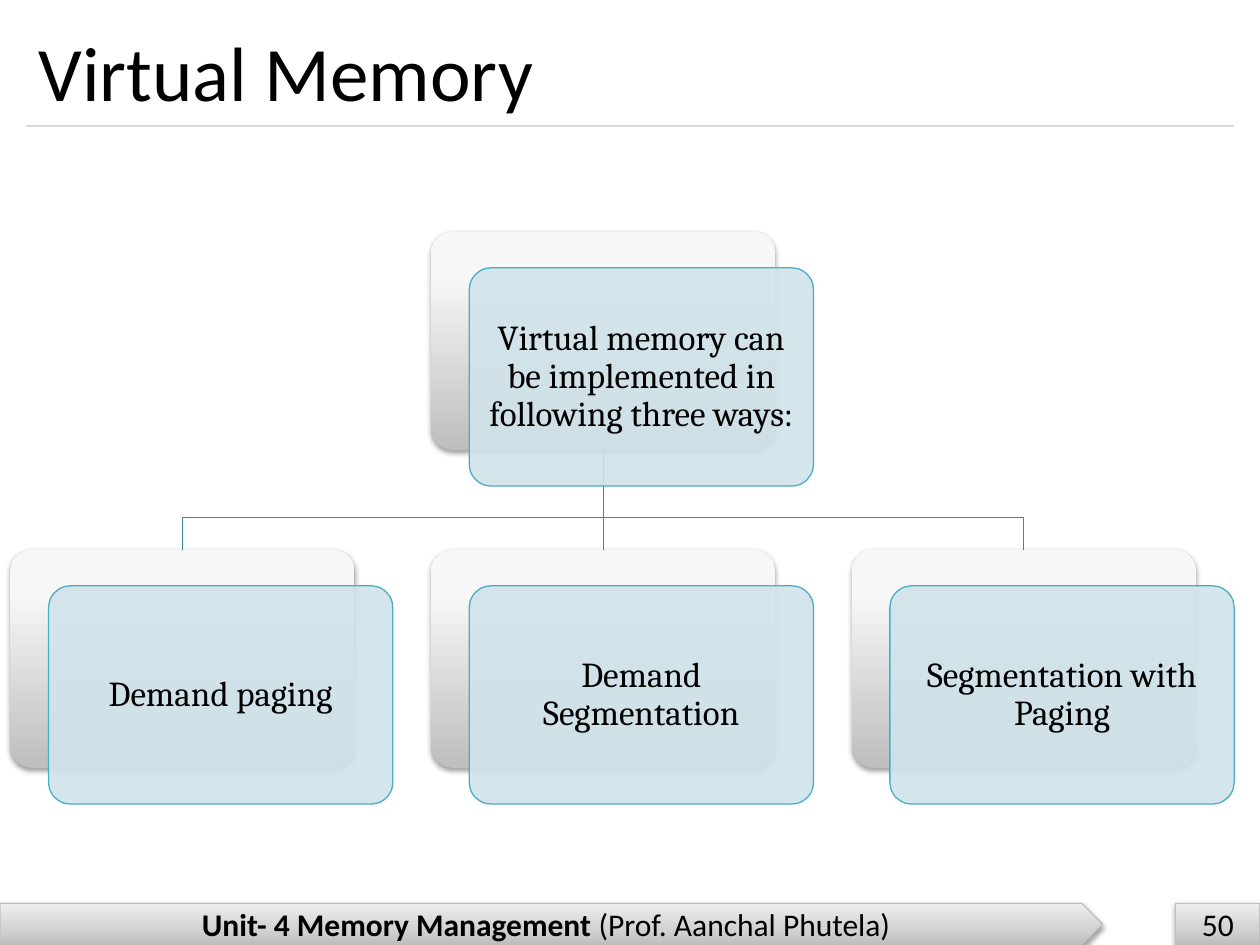
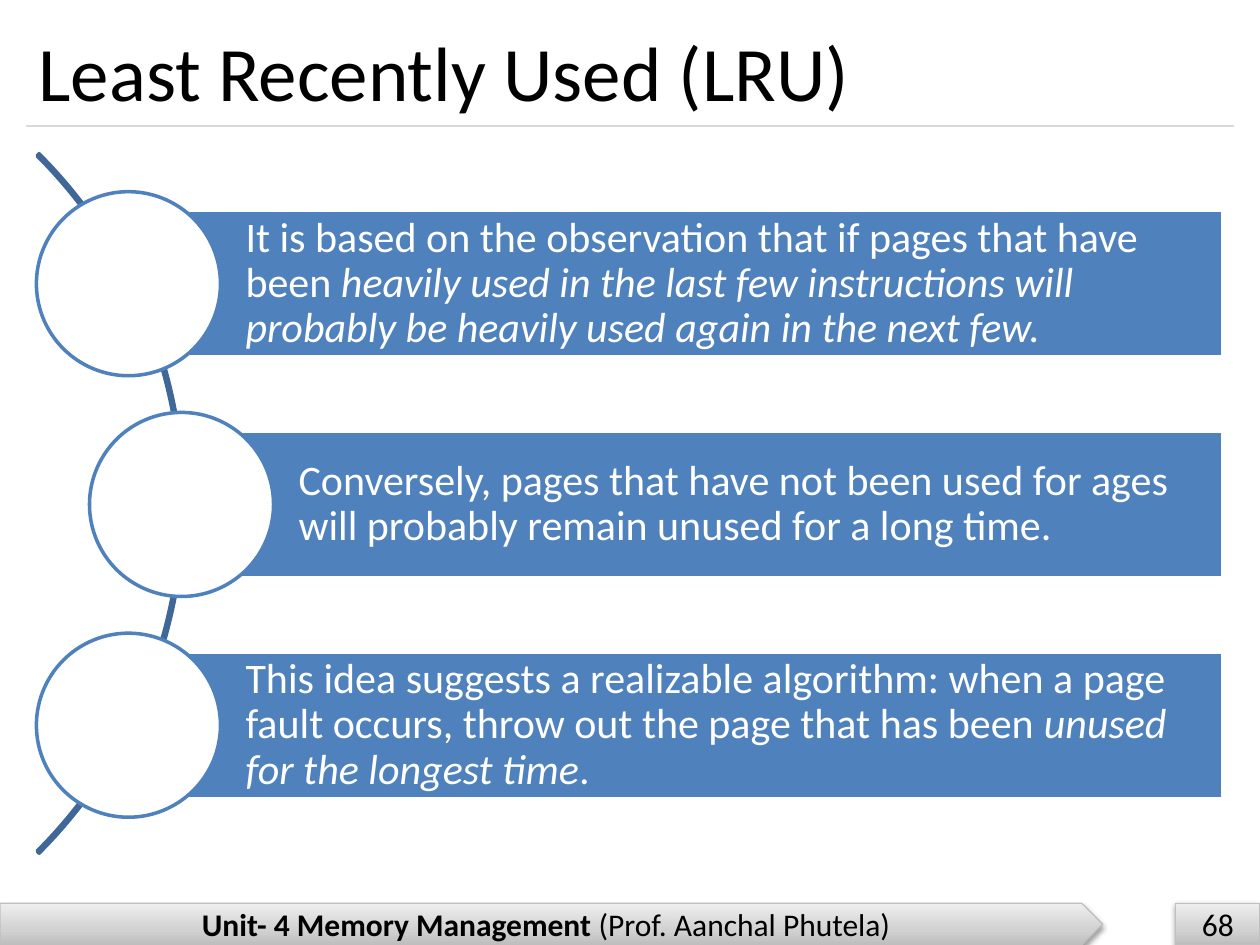
import pptx
import pptx.dml.color
import pptx.enum.shapes
import pptx.enum.text
import pptx.oxml.ns
import pptx.util
from lxml import etree

Cm = pptx.util.Cm
Pt = pptx.util.Pt
MSO = pptx.enum.shapes.MSO_SHAPE
STRAIGHT = pptx.enum.shapes.MSO_CONNECTOR.STRAIGHT
LEFT = pptx.enum.text.PP_ALIGN.LEFT
CENTER = pptx.enum.text.PP_ALIGN.CENTER
MIDDLE = pptx.enum.text.MSO_ANCHOR.MIDDLE
qn = pptx.oxml.ns.qn
rgb = pptx.dml.color.RGBColor.from_string

# Shared colours; gradients are (position in %, colour), bottom to top
BLACK, WHITE, BLUE = "000000", "FFFFFF", "4F81BD"
RULE, BAND_EDGE = "D9D9D9", "BFBFBF"
BAND = [(0, "BDBDBD"), (35, "D1D1D1"), (100, "EEEEEE")]
CARD_BACK = [(0, "BEBEBE"), (80, "F7F7F7"), (100, "F8F8F8")]
CARD, CARD_EDGE, TREE_LINE = "D0E3EA", "4BACC6", "3C8A9F"


def add_box(s, kind, left, top, width, height, fill=None, line=None, weight=0.75):
    """Add a preset shape, sized in cm; a gradient fill brings a soft shadow."""
    sp = s.shapes.add_shape(kind, Cm(left), Cm(top), Cm(width), Cm(height))
    sp.shadow.inherit = False
    if line:
        sp.line.color.rgb = rgb(line)
        sp.line.width = Pt(weight)
    else:
        sp.line.fill.background()
    if fill is None:
        sp.fill.background()
    elif isinstance(fill, str):
        sp.fill.solid()
        sp.fill.fore_color.rgb = rgb(fill)
    else:
        sp.fill.gradient()
        sp.fill.gradient_angle = 90
        spPr = sp._element.spPr
        stops = spPr.find(".//" + qn("a:gsLst"))
        for stop in list(stops):
            stops.remove(stop)
        for position, color in fill:
            stop = etree.SubElement(stops, qn("a:gs"), pos=str(position * 1000))
            etree.SubElement(stop, qn("a:srgbClr"), val=color)
        shadow = etree.SubElement(spPr.find(qn("a:effectLst")), qn("a:outerShdw"),
                                  blurRad="40000", dist="21000", dir="5400000", rotWithShape="0")
        color = etree.SubElement(shadow, qn("a:srgbClr"), val=BLACK)
        etree.SubElement(color, qn("a:alpha"), val="37000")
    return sp


def write(sp, runs, size, color=BLACK, font="Calibri", align=CENTER, spacing=1.0):
    """Fill a shape with one paragraph of (text, style) runs; style is "", "b" or "i"."""
    tf = sp.text_frame
    tf.word_wrap = True
    tf.vertical_anchor = MIDDLE
    p = tf.paragraphs[0]
    p.alignment = align
    p.line_spacing = spacing
    p.font.name = font
    p.font.size = Pt(size)
    p.font.color.rgb = rgb(color)
    for text, style in runs:
        r = p.add_run()
        r.text = text
        if style:
            r.font.bold = style == "b"
            r.font.italic = style == "i"
    return tf


prs = pptx.Presentation()
prs.slide_width, prs.slide_height = Cm(25.4), Cm(19.05)

# Title, rule and footer bands of every slide
slides = []
for title, number in [("Virtual Memory", "50"), ("Least Recently Used (LRU)", "68")]:
    s = prs.slides.add_slide(prs.slide_layouts[6])
    slides.append(s)
    band = add_box(s, MSO.PENTAGON, 0, 18.21, 22.23, 0.84, BAND, BAND_EDGE)
    write(band, [("Unit- 4 Memory Management ", "b"), ("(Prof. Aanchal Phutela)", "")], 18)
    band = add_box(s, MSO.RECTANGLE, 23.7, 18.21, 1.7, 0.84, BAND, BAND_EDGE)
    write(band, [(number, "")], 18)
    rule = s.shapes.add_connector(STRAIGHT, Cm(0.53), Cm(2.54), Cm(24.87), Cm(2.54))
    rule.line.color.rgb = rgb(RULE)
    rule.line.width = Pt(0.75)
    etree.SubElement(rule._element.spPr, qn("a:effectLst"))
    heading = s.shapes.add_textbox(Cm(0.53), Cm(0.3), Cm(24.34), Cm(2.24))
    write(heading, [(title, "")], 44, align=LEFT)

memory, lru = slides

# Virtual Memory: tree lines from the root card to its three children
card_w, card_h = 6.94, 4.4
lefts = [0.21 + 8.48 * i for i in range(3)]
root_top, child_top = 4.67, 11.08
root_x = Cm(lefts[1] + card_w / 2)
root_bottom, bend, child_y = Cm(root_top + card_h), Cm(10.44), Cm(child_top)

trunk = memory.shapes.add_connector(STRAIGHT, root_x, root_bottom, root_x, child_y)
trunk.line.color.rgb = rgb(TREE_LINE)
trunk.line.width = Pt(0.75)
etree.SubElement(trunk._element.spPr, qn("a:effectLst"))
for left in (lefts[0], lefts[2]):
    x = Cm(left + card_w / 2)
    branch = memory.shapes.build_freeform(root_x, root_bottom)
    branch.add_line_segments([(root_x, bend), (x, bend), (x, child_y)], close=False)
    sp = branch.convert_to_shape()
    sp.shadow.inherit = False
    sp.fill.background()
    sp.line.color.rgb = rgb(TREE_LINE)
    sp.line.width = Pt(0.75)

# Virtual Memory: cards, each a grey back and a translucent front
for left, top, text in [
    (lefts[1], root_top, "Virtual memory can be implemented in following three ways:"),
    (lefts[0], child_top, "Demand paging"),
    (lefts[1], child_top, "Demand Segmentation"),
    (lefts[2], child_top, "Segmentation with Paging"),
]:
    back = add_box(memory, MSO.ROUNDED_RECTANGLE, left, top, card_w, card_h, CARD_BACK)
    front = add_box(memory, MSO.ROUNDED_RECTANGLE, left + 0.77, top + 0.73, card_w, card_h,
                    CARD, CARD_EDGE)
    for sp in (back, front):
        sp.adjustments[0] = 0.1
    fill_color = front._element.spPr.find(qn("a:solidFill")).find(qn("a:srgbClr"))
    etree.SubElement(fill_color, qn("a:alpha"), val="90000")
    tf = write(front, [(text, "")], 20, font="Cambria", spacing=0.9)
    tf.margin_left = tf.margin_right = tf.margin_top = tf.margin_bottom = Cm(0.2)

# LRU: arc behind the circles
arc = add_box(lru, MSO.BLOCK_ARC, -16.23, 0.18, 19.94, 19.94, line="3F6797", weight=2)
for i, value in enumerate([189, 27, 0.003]):
    arc.adjustments[i] = value

# LRU: bars, each with a circle centred on its left edge
bar_h, bar_right, circle = 2.96, 24.66, 3.71
for i, (left, runs) in enumerate([
    (2.59, [("It is based on the observation that if pages that have been ", ""),
            ("heavily used in the last few instructions will probably be heavily used "
             "again in the next few.", "i")]),
    (3.66, [("Conversely, pages that have not been used for ages will probably remain "
             "unused for a long time.", "")]),
    (2.59, [("This idea suggests a realizable algorithm: when a page fault occurs, throw out "
             "the page that has been ", ""),
            ("unused for the longest time", "i"), (".", "")]),
]):
    middle = 5.72 + 4.45 * i
    bar = add_box(lru, MSO.RECTANGLE, left, middle - bar_h / 2, bar_right - left, bar_h,
                  BLUE, WHITE, 2)
    tf = write(bar, runs, 24, WHITE, align=LEFT, spacing=0.9)
    tf.margin_left = Cm(2.36)
    tf.margin_right = tf.margin_top = tf.margin_bottom = Cm(0.17)
    add_box(lru, MSO.OVAL, left - circle / 2, middle - circle / 2, circle, circle,
            WHITE, BLUE, 2)

prs.save("out.pptx")
